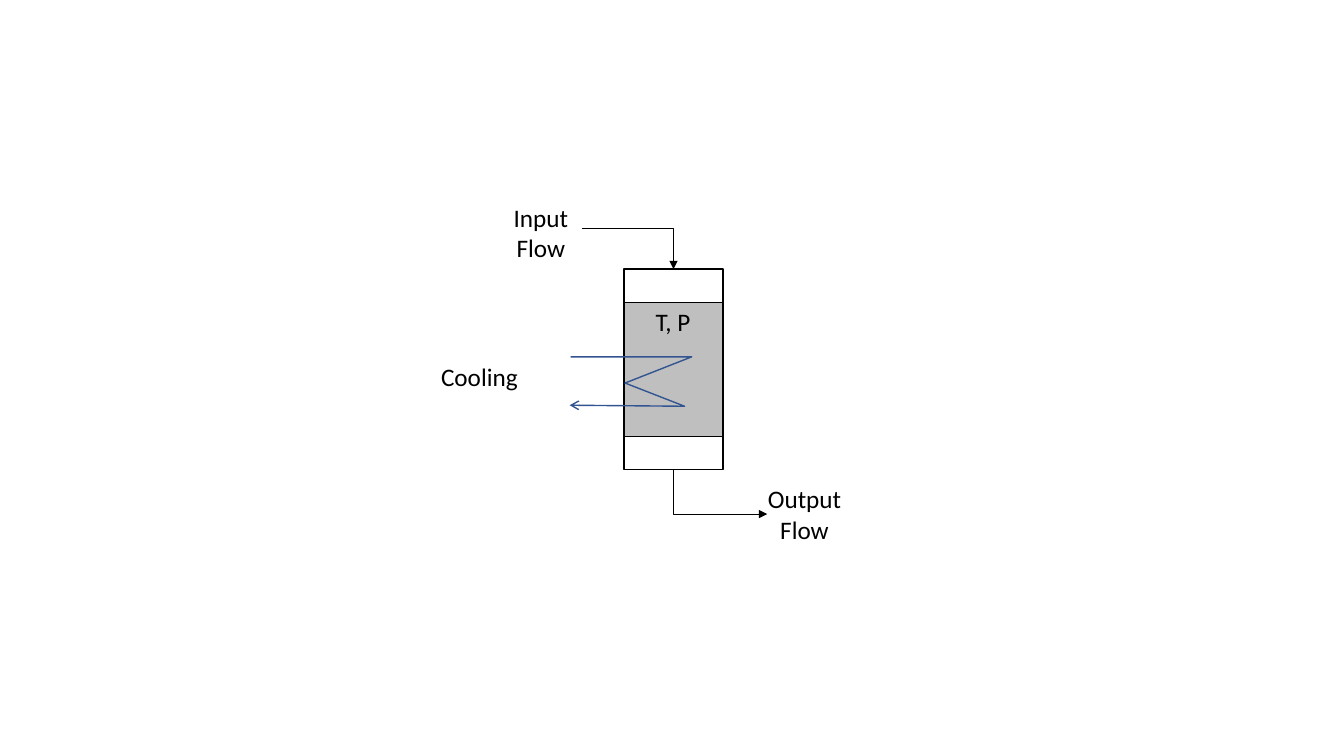
"""Build a slide with a cooled reactor and its input and output flows."""
from lxml.etree import SubElement
from pptx import Presentation
from pptx.dml.color import RGBColor
from pptx.enum.shapes import MSO_CONNECTOR, MSO_SHAPE
from pptx.enum.text import MSO_AUTO_SIZE, PP_ALIGN
from pptx.oxml.ns import qn
from pptx.util import Inches, Pt

COLORS = {"black": "000000", "white": "FFFFFF", "bed": "BFBFBF", "coolant": "325491"}


class ReactorSlide:
    """Holds the style and the slide, and draws each kind of element."""

    font_name = "Calibri"
    font_size = Pt(18)

    def __init__(self, slide):
        """Keep the slide to draw on."""
        self.slide = slide

    def style_line(self, line, color, width, arrowhead=None):
        """Set colour, width and optional end arrowhead."""
        line.color.rgb = RGBColor.from_string(COLORS[color])
        line.width = Pt(width)
        if arrowhead:
            SubElement(line._get_or_add_ln(), qn("a:tailEnd"), type=arrowhead)

    def section(self, left, top, width, height, color):
        """Draw one outlined section of the vessel."""
        shape = self.slide.shapes.add_shape(
            MSO_SHAPE.RECTANGLE, Inches(left), Inches(top), Inches(width), Inches(height))
        shape.shadow.inherit = False
        shape.fill.solid()
        shape.fill.fore_color.rgb = RGBColor.from_string(COLORS[color])
        self.style_line(shape.line, "black", 1)

    def flow(self, start, end, down_first=False):
        """Draw an arrow with one right-angle bend."""
        (left, top), (right, bottom) = start, end
        if down_first:
            center_x, center_y = (left + right) / 2, (top + bottom) / 2
            half_width, half_height = (bottom - top) / 2, (right - left) / 2
            left, right = center_x + half_width, center_x - half_width
            top, bottom = center_y - half_height, center_y + half_height
        connector = self.slide.shapes.add_connector(
            MSO_CONNECTOR.ELBOW, Inches(left), Inches(top), Inches(right), Inches(bottom))
        properties = connector._element.spPr
        properties.find(qn("a:prstGeom")).set("prst", "bentConnector2")
        if down_first:
            properties.find(qn("a:xfrm")).set("rot", str(270 * 60000))
        self.style_line(connector.line, "black", 0.5, "triangle")
        SubElement(properties, qn("a:effectLst"))

    def label(self, left, top, width, height, *lines):
        """Write centred lines of text."""
        box = self.slide.shapes.add_textbox(
            Inches(left), Inches(top), Inches(width), Inches(height))
        frame = box.text_frame
        frame.word_wrap = False
        frame.auto_size = MSO_AUTO_SIZE.SHAPE_TO_FIT_TEXT
        frame.text = "\n".join(lines)
        for paragraph in frame.paragraphs:
            paragraph.alignment = PP_ALIGN.CENTER
            paragraph.font.name = self.font_name
            paragraph.font.size = self.font_size
            paragraph.font.color.rgb = RGBColor.from_string(COLORS["black"])

    def coil(self, points):
        """Draw the open zigzag of the cooling coil."""
        start, *turns = [(Inches(x), Inches(y)) for x, y in points]
        builder = self.slide.shapes.build_freeform(*start)
        builder.add_line_segments(turns, close=False)
        shape = builder.convert_to_shape()
        shape.shadow.inherit = False
        shape.fill.background()
        self.style_line(shape.line, "coolant", 1, "arrow")


presentation = Presentation()
presentation.slide_width, presentation.slide_height = Inches(13.33), Inches(7.5)
reactor = ReactorSlide(presentation.slides.add_slide(presentation.slide_layouts[6]))

VESSEL_LEFT, VESSEL_WIDTH = 6.19, 0.98
BED_TOP, BED_HEIGHT, CAP_HEIGHT = 3, 1.33, 0.33
BED_BOTTOM = BED_TOP + BED_HEIGHT
AXIS = VESSEL_LEFT + VESSEL_WIDTH / 2

reactor.section(VESSEL_LEFT, BED_TOP, VESSEL_WIDTH, BED_HEIGHT, "bed")
for cap_top in (BED_BOTTOM, BED_TOP - CAP_HEIGHT):
    reactor.section(VESSEL_LEFT, cap_top, VESSEL_WIDTH, CAP_HEIGHT, "white")

reactor.flow((5.77, 2.27), (AXIS, BED_TOP - CAP_HEIGHT))
reactor.flow((AXIS, BED_BOTTOM + CAP_HEIGHT), (7.61, 5.1), down_first=True)

reactor.label(4.99, 1.96, 0.75, 0.71, "Input", "Flow")
reactor.label(7.51, 4.75, 0.94, 0.71, "Output", "Flow")
reactor.label(6.4, 2.99, 0.55, 0.4, "T, P")
reactor.label(4.27, 3.54, 0.97, 0.4, "Cooling")

reactor.coil([(5.66, 3.54), (6.86, 3.54), (6.2, 3.8), (6.79, 4.03), (5.65, 4.02)])

presentation.save("out.pptx")
